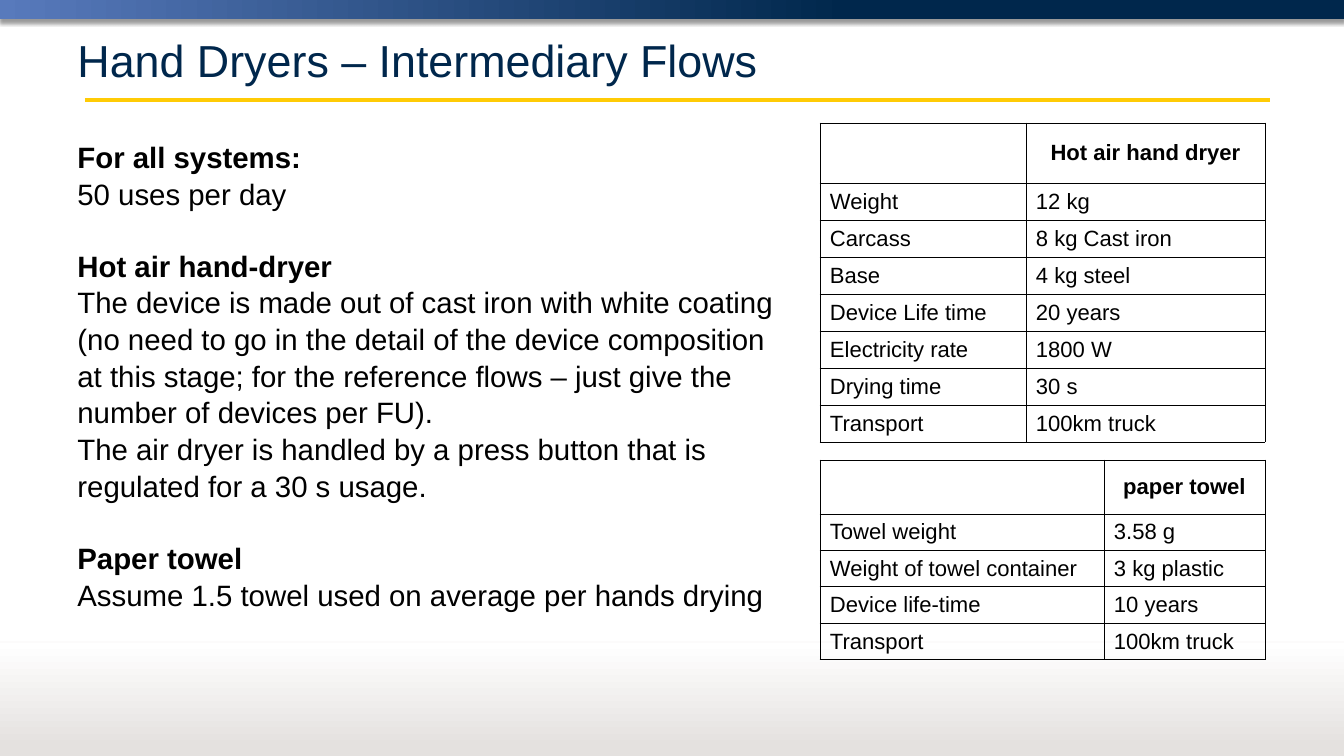
from lxml import etree
from pptx import Presentation
from pptx.dml.color import RGBColor
from pptx.enum.shapes import MSO_CONNECTOR, MSO_SHAPE
from pptx.enum.text import MSO_ANCHOR, MSO_AUTO_SIZE, PP_ALIGN
from pptx.oxml import parse_xml
from pptx.oxml.ns import qn
from pptx.util import Pt

PX = 914400 / 75.6
NS = 'xmlns:a="http://schemas.openxmlformats.org/drawingml/2006/main"'
RECT, LINE = MSO_SHAPE.RECTANGLE, MSO_CONNECTOR.STRAIGHT
MIDDLE, GROW = MSO_ANCHOR.MIDDLE, MSO_AUTO_SIZE.SHAPE_TO_FIT_TEXT
CENTER, JUSTIFY = PP_ALIGN.CENTER, PP_ALIGN.JUSTIFY
NAVY, BLUE, GOLD, GREY = "00274C", "587ABC", "FFCB05", "E4E1DF"
WHITE, BLACK = "FFFFFF", "000000"
color = RGBColor.from_string


def px(*nums):
    """Turn pixels into EMU."""
    return [round(n * PX) for n in nums]


def write(para, text, size, tint=BLACK, bold=False):
    run = para.add_run()
    run.text = text
    for key, val in {"name": "Arial", "size": Pt(size), "bold": bold}.items():
        setattr(run.font, key, val)
    run.font.color.rgb = color(tint)


deck = Presentation()
deck.slide_width, deck.slide_height = px(1344, 756)
slide = deck.slides.add_slide(deck.slide_layouts[6])
shapes = slide.shapes

# Bands and rules: box, gradient stops, angle / ends, colour, width, alpha
bands = [
    ((0, 0, 1344, 19), ((0, BLUE), (0.63, NAVY)), 0),
    ((0, 643, 1344, 113), ((0.08, GREY), (1, WHITE)), 90),
]
rules = [
    ((85, 100, 1270, 100), GOLD, 3, 100),
    ((0, 642, 1344, 642), GREY, 0.75, 30),
]
shades = [(40, 4, 3), None, None, (38, 3.1, 1.6)]
drawn = []
for box, stops, angle in bands:
    band = shapes.add_shape(RECT, *px(*box))
    band.line.fill.background()
    band.fill.gradient()
    band.fill.gradient_angle = angle
    for stop, (pos, tint) in zip(band.fill.gradient_stops, stops):
        stop.position = pos
        stop.color.rgb = color(tint)
    band.shadow.inherit = False
    drawn.append(band)
for ends, tint, width, alpha in rules:
    rule = shapes.add_connector(LINE, *px(*ends))
    rule.line.width = Pt(width)
    rule.line.color.rgb = color(tint)
    if alpha < 100:
        fill = rule.line.color._xFill.find(qn("a:srgbClr"))
        etree.SubElement(fill, qn("a:alpha"), val=str(alpha * 1000))
    etree.SubElement(rule._element.spPr, qn("a:effectLst"))
    drawn.append(rule)
for shape, shade in zip(drawn, shades):
    if shade:
        alpha, blur, dist = shade
        shape._element.spPr.find(qn("a:effectLst")).append(parse_xml(
            f'<a:outerShdw {NS} blurRad="{Pt(blur)}" dist="{Pt(dist)}" '
            f'dir="5400000" rotWithShape="0"><a:srgbClr val="{BLACK}">'
            f'<a:alpha val="{alpha * 1000}"/></a:srgbClr></a:outerShdw>'))

# Title
title = shapes.add_textbox(*px(70, 11, 1274, 98)).text_frame
title.word_wrap = True
title.vertical_anchor = MIDDLE
write(title.paragraphs[0], "Hand Dryers – Intermediary Flows", 42.7, NAVY)

# Tables: top, column widths, header height, row height, rows
tables = [
    (123, (206, 239), 60, 37, [
        ("", "Hot air hand dryer"),
        ("Weight", "12 kg"),
        ("Carcass", "8 kg Cast iron"),
        ("Base", "4 kg steel"),
        ("Device Life time", "20 years"),
        ("Electricity rate", "1800 W"),
        ("Drying time", "30 s"),
        ("Transport", "100km truck"),
    ]),
    (460, (284, 161), 54, 35, [
        ("", "paper towel"),
        ("Towel weight", "3.58 g"),
        ("Weight of towel container", "3 kg plastic"),
        ("Device life-time", "10 years"),
        ("Transport", "100km truck"),
    ]),
]
side, edge = px(10, 5)
inset = {"margin_left": side, "margin_right": side, "margin_top": edge,
         "margin_bottom": edge, "vertical_anchor": MIDDLE}
for top, cols, head, step, rows in tables:
    high = head + step * (len(rows) - 1)
    frame = shapes.add_table(len(rows), 2, *px(820, top, sum(cols), high))
    table = frame.table
    table.first_row = table.horz_banding = False
    for col, wide in zip(table.columns, px(*cols)):
        col.width = wide
    for r, row in enumerate(rows):
        table.rows[r].height = px(step if r else head)[0]
        for c, text in enumerate(row):
            cell = table.cell(r, c)
            for key, val in inset.items():
                setattr(cell, key, val)
            props = cell._tc.get_or_add_tcPr()
            for tag in ("lnL", "lnR", "lnT", "lnB"):
                props.append(parse_xml(
                    f'<a:{tag} {NS} w="{Pt(1)}"><a:solidFill>'
                    f'<a:srgbClr val="{BLACK}"/></a:solidFill></a:{tag}>'))
            cell.fill.background()
            para = cell.text_frame.paragraphs[0]
            para.alignment = JUSTIFY if r else CENTER
            if text:
                write(para, text, 21, bold=r == 0)

# Notes on the left: heading, then its lines
notes = [
    ("For all systems:", "50 uses per day"),
    ("Hot air hand-dryer",
     "The device is made out of cast iron with white coating (no need to go "
     "in the detail of the device composition at this stage; for the "
     "reference flows – just give the number of devices per FU).",
     "The air dryer is handled by a press button that is regulated for a "
     "30 s usage."),
    ("Paper towel", "Assume 1.5 towel used on average per hands drying"),
]
body = shapes.add_textbox(*px(70, 134, 727, 471)).text_frame
body.word_wrap = True
body.auto_size = GROW
for n, note in enumerate(notes):
    for i, text in enumerate(note):
        para = body.add_paragraph() if n or i else body.paragraphs[0]
        para.line_spacing = 1.04
        if n and i == 0:
            para.space_before = Pt(33.6)
        write(para, text, 28, bold=i == 0)

deck.save("out.pptx")
